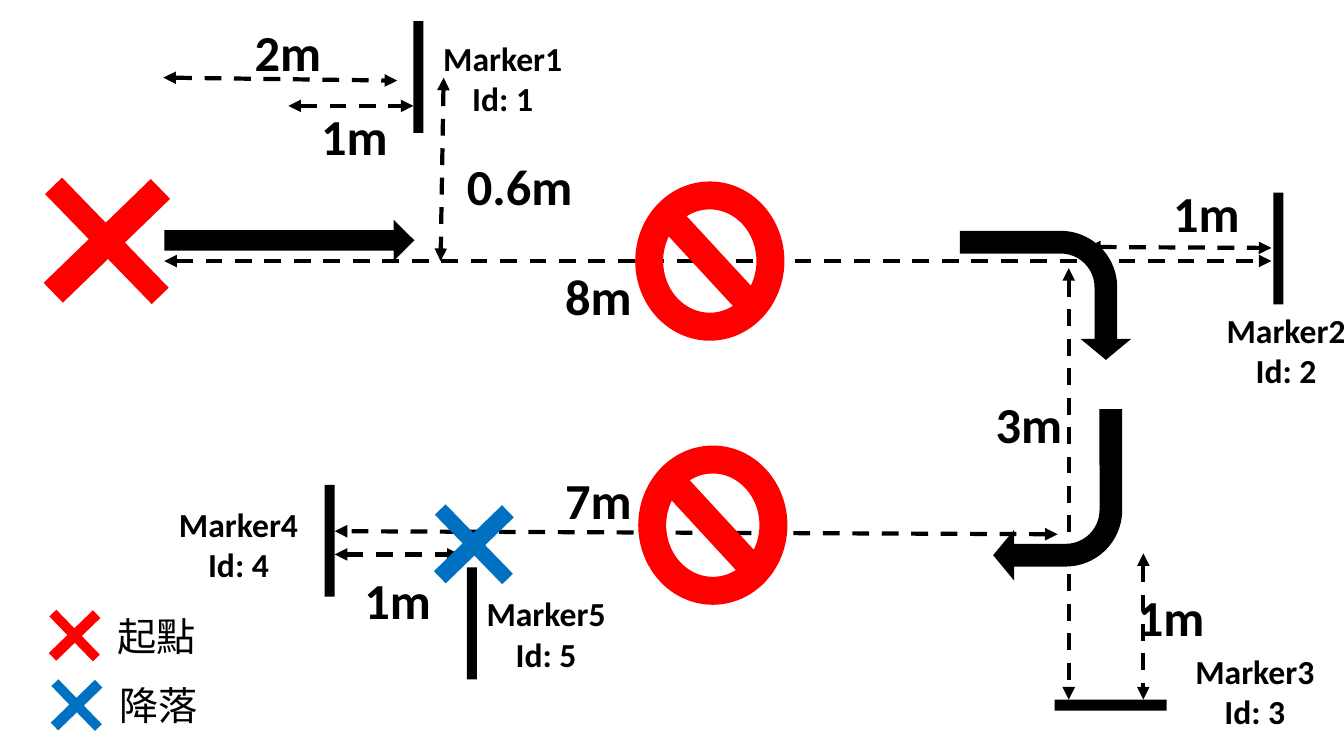
import dataclasses

import pptx
import pptx.dml.color
import pptx.enum.dml
import pptx.enum.shapes
import pptx.enum.text
import pptx.oxml.ns
import pptx.slide
import pptx.util
from lxml import etree

SHAPE = pptx.enum.shapes.MSO_SHAPE
PX = 9144  # EMU per px, 100 px to the inch
COLORS = {"black": "000000", "red": "FF0000", "blue": "0070C0"}
FONT = "Calibri"
CROSS_ADJ = (0.421,)
BEND_ADJ = (0.176, 0.197, 0.163, 0.438)


@dataclasses.dataclass(frozen=True)
class Block:
    kind: SHAPE
    x: int
    y: int
    w: int
    h: int
    color: str = "black"
    rotation: float = 0
    adjustments: tuple[float, ...] = ()


@dataclasses.dataclass(frozen=True)
class Span:
    """A dashed measuring line between two points."""
    x1: int
    y1: int
    x2: int
    y2: int


@dataclasses.dataclass(frozen=True)
class LabelStyle:
    w: int
    h: int
    size: int
    bold: bool = True


@dataclasses.dataclass(frozen=True)
class Label:
    x: int
    y: int
    text: str
    style: LabelStyle


DISTANCE = LabelStyle(131, 57, 36)
MARKER = LabelStyle(149, 57, 24)
LEGEND = LabelStyle(126, 46, 28, bold=False)


def wall(x: int, y: int) -> Block:
    return Block(SHAPE.RECTANGLE, x, y, 10, 111)


def cross(x: int, y: int, w: int, h: int, color: str) -> Block:
    return Block(SHAPE.CROSS, x, y, w, h, color, 45.9, CROSS_ADJ)


def bend(x: int, y: int, rotation: int) -> Block:
    return Block(SHAPE.BENT_ARROW, x, y, 128, 170, "black", rotation, BEND_ADJ)


def no_entry(x: int, y: int) -> Block:
    return Block(SHAPE.NO_SYMBOL, x, y, 148, 158, "red")


SPANS = [
    Span(163, 259, 1261, 259),
    Span(162, 77, 394, 80),
    Span(286, 105, 410, 105),
    Span(440, 77, 437, 259),
    Span(1079, 245, 1261, 246),
    Span(1060, 266, 1060, 694),
    Span(1134, 549, 1134, 694),
    Span(1049, 530, 332, 527),
    Span(332, 550, 456, 550),
]

BLOCKS = [
    wall(410, 21),
    wall(1263, 191),
    wall(322, 481),
    wall(463, 563),
    Block(SHAPE.RECTANGLE, 1096, 644, 11, 111, rotation=90),
    Block(SHAPE.RIGHT_ARROW, 163, 218, 248, 41),
    bend(973, 208, 90),
    bend(985, 406, 180),
    cross(30, 165, 152, 148, "red"),
    cross(422, 493, 96, 94, "blue"),
    cross(43, 600, 62, 61, "red"),
    cross(45, 669, 62, 61, "blue"),
    no_entry(630, 180),
    no_entry(633, 442),
]

MARKER_SPOTS = [(424, 49), (1201, 319), (1170, 657), (162, 511), (467, 600)]

LABELS = [
    Label(220, 22, "2m", DISTANCE),
    Label(286, 106, "1m", DISTANCE),
    Label(450, 155, "0.6m", DISTANCE),
    Label(528, 265, "8m", DISTANCE),
    Label(1131, 182, "1m", DISTANCE),
    Label(955, 392, "3m", DISTANCE),
    Label(1096, 583, "1m", DISTANCE),
    Label(528, 467, "7m", DISTANCE),
    Label(329, 566, "1m", DISTANCE),
    Label(92, 608, "起點", LEGEND),
    Label(94, 676, "降落", LEGEND),
] + [
    Label(x, y, f"Marker{i}\nId: {i}", MARKER)
    for i, (x, y) in enumerate(MARKER_SPOTS, start=1)
]


def rgb(name: str) -> pptx.dml.color.RGBColor:
    return pptx.dml.color.RGBColor.from_string(COLORS[name])


def draw_span(s: pptx.slide.Slide, span: Span) -> None:
    ends = (span.x1, span.y1, span.x2, span.y2)
    cn = s.shapes.add_connector(
        pptx.enum.shapes.MSO_CONNECTOR.STRAIGHT, *(v * PX for v in ends))
    cn.line.color.rgb = rgb("black")
    cn.line.width = pptx.util.Pt(3)
    cn.line.dash_style = pptx.enum.dml.MSO_LINE.DASH
    qn = pptx.oxml.ns.qn
    sp_pr = cn._element.spPr
    ln = sp_pr.find(qn("a:ln"))
    for tag in ("a:headEnd", "a:tailEnd"):
        etree.SubElement(ln, qn(tag), type="triangle")
    etree.SubElement(sp_pr, qn("a:effectLst"))


def draw_block(s: pptx.slide.Slide, block: Block) -> None:
    frame = (block.x, block.y, block.w, block.h)
    sp = s.shapes.add_shape(block.kind, *(v * PX for v in frame))
    sp.rotation = block.rotation
    for i, value in enumerate(block.adjustments):
        sp.adjustments[i] = value
    sp.shadow.inherit = False
    sp.fill.solid()
    sp.fill.fore_color.rgb = rgb(block.color)
    sp.line.fill.background()


def draw_label(s: pptx.slide.Slide, label: Label) -> None:
    style = label.style
    frame = (label.x, label.y, style.w, style.h)
    tf = s.shapes.add_textbox(*(v * PX for v in frame)).text_frame
    tf.word_wrap = True
    tf.vertical_anchor = pptx.enum.text.MSO_ANCHOR.MIDDLE
    tf.text = label.text
    for p in tf.paragraphs:
        p.alignment = pptx.enum.text.PP_ALIGN.CENTER
        p.font.name = FONT
        p.font.size = pptx.util.Pt(style.size)
        p.font.bold = style.bold
        p.font.color.rgb = rgb("black")


def main() -> None:
    prs = pptx.Presentation()
    prs.slide_width = 1333 * PX
    prs.slide_height = 750 * PX
    s = prs.slides.add_slide(prs.slide_layouts.get_by_name("Blank"))
    for span in SPANS:
        draw_span(s, span)
    for block in BLOCKS:
        draw_block(s, block)
    for label in LABELS:
        draw_label(s, label)
    prs.save("out.pptx")


if __name__ == "__main__":
    main()
